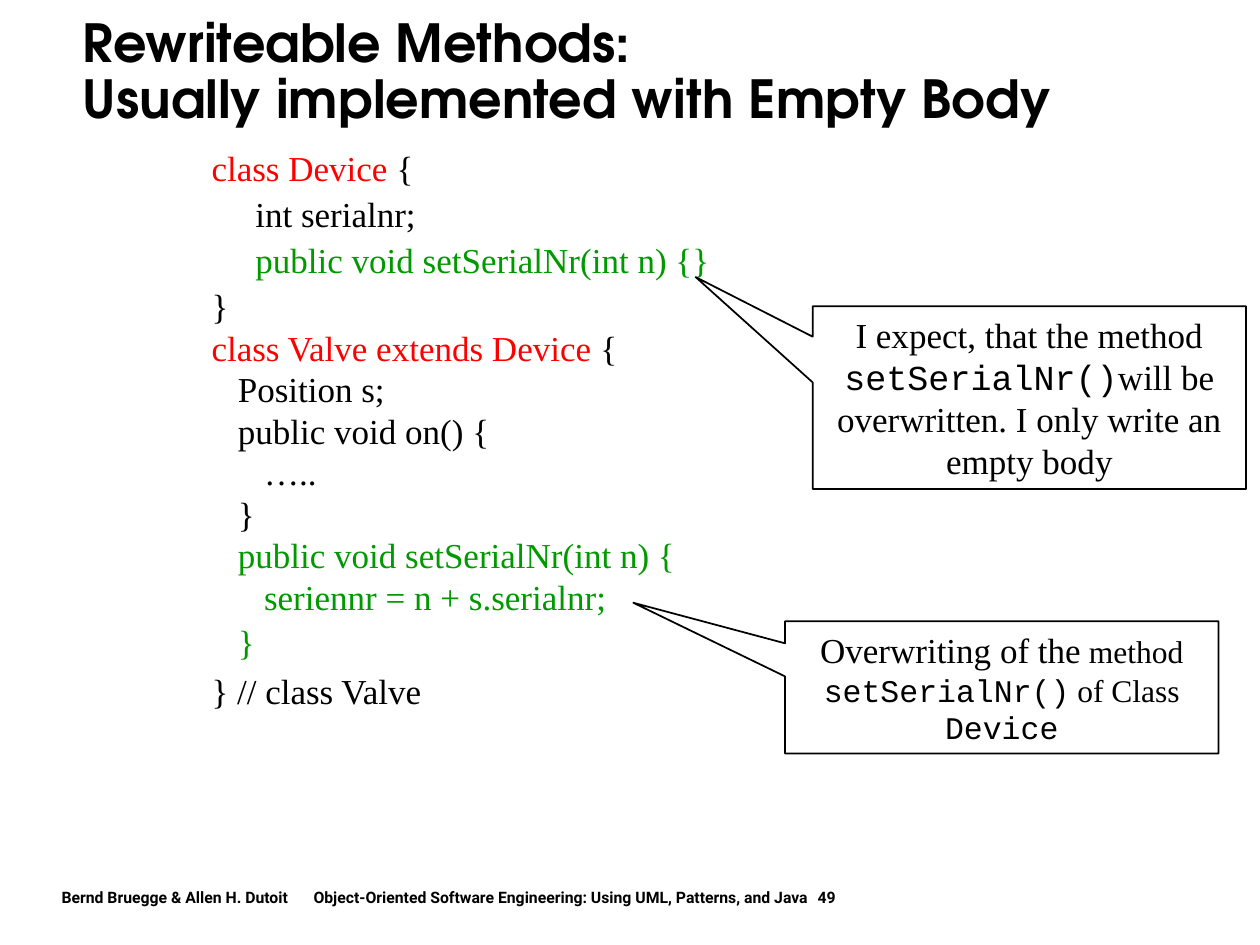
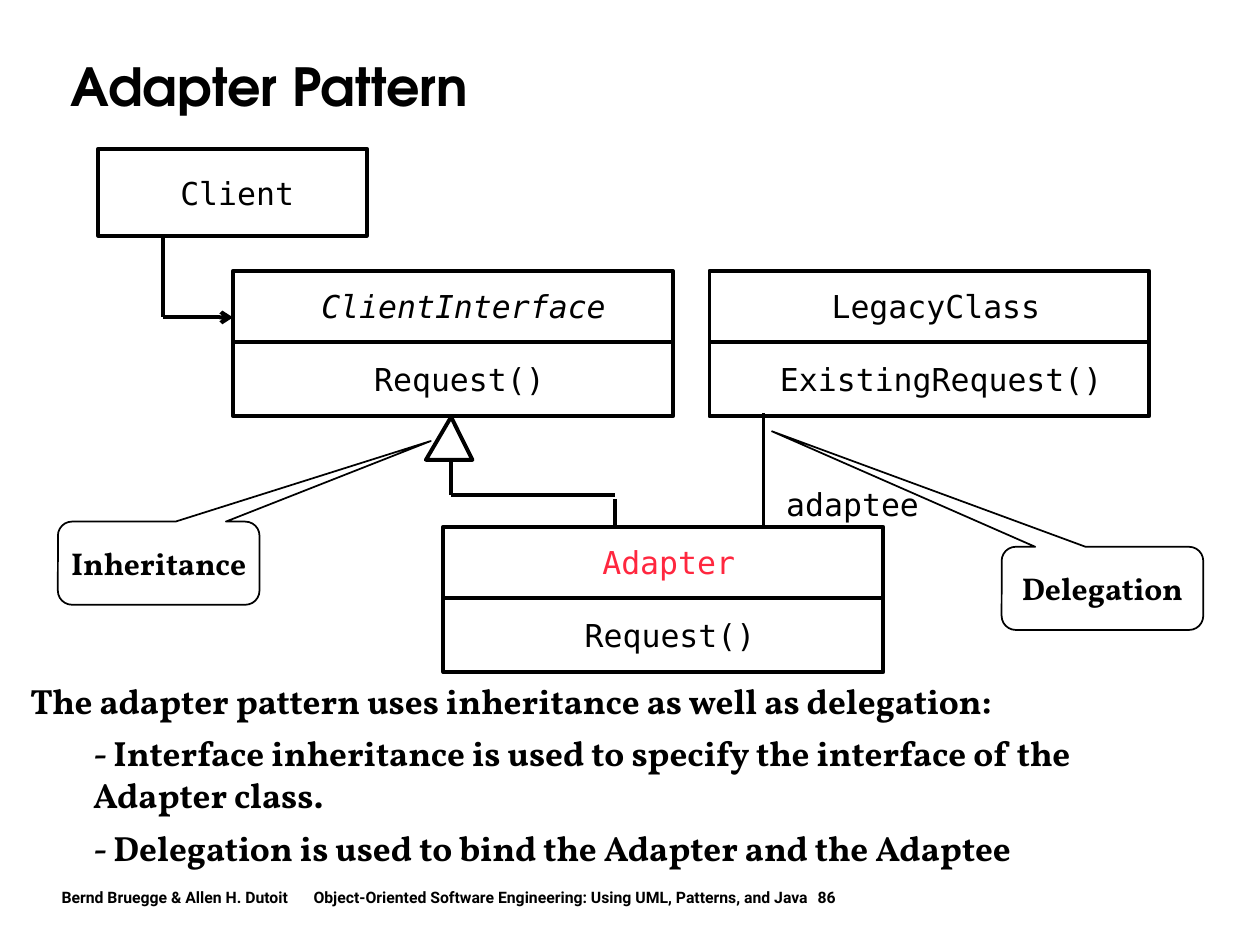
from dataclasses import dataclass

from lxml.etree import SubElement
from pptx import Presentation
from pptx.dml.color import RGBColor
from pptx.enum.shapes import MSO_CONNECTOR, MSO_SHAPE
from pptx.enum.text import MSO_ANCHOR, PP_ALIGN
from pptx.oxml.ns import qn
from pptx.util import Pt


@dataclass(frozen=True)
class Theme:
    black: str = "000000"
    white: str = "FFFFFF"
    class_red: str = "FF0000"
    method_green: str = "009900"
    adapter_red: str = "FF273F"
    title_font: str = "TeX Gyre Adventor"
    footer_font: str = "Roboto"
    serif: str = "Times New Roman"
    courier: str = "Courier New"
    mono: str = "DejaVu Sans Mono"
    bold_serif: str = "Vollkorn"
    title_size: float = 30
    body_size: float = 20
    label_size: float = 18
    footer_size: float = 9
    thin: float = 1
    thick: float = 2.25


theme = Theme()


def write(box, *spans, font=theme.serif, size=theme.body_size, color=theme.black,
          bold=False, italic=False, align=PP_ALIGN.LEFT, anchor=MSO_ANCHOR.TOP,
          wrap=True, inset=(7.2, 3.6), indent=0, spacing=None, before=0, after=0):
    """Add one paragraph; a span is a string or a (string, format changes) pair."""
    frame = box.text_frame
    frame.word_wrap = wrap
    frame.vertical_anchor = anchor
    frame.margin_left = frame.margin_right = Pt(inset[0])
    frame.margin_top = frame.margin_bottom = Pt(inset[1])
    para = frame.add_paragraph() if frame.text else frame.paragraphs[0]
    para.alignment = align
    para.space_before, para.space_after = Pt(before), Pt(after)
    if spacing:
        para.line_spacing = spacing
    properties = para._p.get_or_add_pPr()
    properties.set("marL", str(Pt(indent)))
    properties.set("indent", "0")
    for entry in spans:
        text, changes = (entry, {}) if isinstance(entry, str) else entry
        for number, line in enumerate(text.split("\n")):
            if number:
                para.add_line_break()
            span = para.add_run()
            span.text = line
            span.font.name = changes.get("font", font)
            span.font.size = Pt(changes.get("size", size))
            span.font.color.rgb = RGBColor.from_string(changes.get("color", color))
            span.font.bold, span.font.italic = bold, italic
    return para


def outline(shape, width=theme.thick, fill=None):
    """Draw a black line without shadow, and an optional solid fill."""
    shape.line.color.rgb = RGBColor.from_string(theme.black)
    shape.line.width = Pt(width)
    if hasattr(shape, "fill"):
        if fill:
            shape.fill.solid()
            shape.fill.fore_color.rgb = RGBColor.from_string(fill)
        else:
            shape.fill.background()
    SubElement(shape._element.spPr, qn("a:effectLst"))
    return shape


deck = Presentation()
deck.slide_width, deck.slide_height = Pt(720), Pt(540)

# Shared title and footer
pages = []
for title, place, number in [
    ("Rewriteable Methods:\nUsually implemented with Empty Body", (40.3, 12.2, 664.6, 59.8), 49),
    ("Adapter Pattern", (33.1, 17.3, 642.2, 67.7), 86),
]:
    page = deck.slides.add_slide(deck.slide_layouts[6])
    pages.append(page)
    footer = page.shapes.add_textbox(Pt(28.1), Pt(504), Pt(660.2), Pt(18))
    para = write(
        footer,
        "Bernd Bruegge & Allen H. Dutoit\tObject-Oriented Software Engineering: "
        f"Using UML, Patterns, and Java\t{number}",
        font=theme.footer_font, size=theme.footer_size, bold=True)
    tabs = SubElement(para._p.get_or_add_pPr(), qn("a:tabLst"))
    for stop in (209.3, 581.6):
        SubElement(tabs, qn("a:tab"), pos=str(Pt(stop)), algn="l")
    heading = page.shapes.add_textbox(*map(Pt, place))
    write(heading, title, font=theme.title_font, size=theme.title_size, bold=True,
          anchor=MSO_ANCHOR.MIDDLE, spacing=0.9)

methods_page, adapter_page = pages

# Rewriteable methods: code listing
red, green = {"color": theme.class_red}, {"color": theme.method_green}
code = methods_page.shapes.add_textbox(Pt(113.8), Pt(82.8), Pt(366.5), Pt(391.7))
for indent, spacing, spans in [
    (0, 0.9, [("class Device", red), " {"]),
    (25, 0.8, ["int serialnr;"]),
    (25, 0.8, [("public void setSerialNr(int n) {}", green)]),
    (0, 0.8, ["}"]),
    (0, 0.7, [("class Valve extends Device ", red), "{"]),
    (15, 0.7, ["Position s;"]),
    (15, 0.7, ["public void on() {"]),
    (30, 0.7, ["….."]),
    (15, 0.7, ["}"]),
    (15, 0.7, [("public void setSerialNr(int n) {", green)]),
    (30, 0.7, [("seriennr = n + s.serialnr;", green)]),
    (15, 0.8, [("}", green)]),
    (0, 0.9, ["} // class Valve"]),
]:
    write(code, *spans, indent=indent, spacing=spacing, before=6.9)

# Rewriteable methods: remarks
courier = {"font": theme.courier}
small, small_courier = {"size": theme.label_size}, {"font": theme.courier, "size": theme.label_size}
for place, pointer, spans in [
    ((464.4, 175, 247.7, 104.4), (-0.77, -0.66),
     ["I expect, that the method ", ("setSerialNr()", courier),
      "will be overwritten. I only write an empty body"]),
    ((448.6, 355, 247.7, 75.6), (-0.85, -0.64),
     ["Overwriting of the", (" method ", small), ("setSerialNr()", small_courier),
      (" of Class ", small), ("Device", small_courier)]),
]:
    remark = methods_page.shapes.add_shape(MSO_SHAPE.RECTANGULAR_CALLOUT, *map(Pt, place))
    remark.adjustments[0], remark.adjustments[1] = pointer
    outline(remark, theme.thin)
    write(remark, *spans, align=PP_ALIGN.CENTER, anchor=MSO_ANCHOR.MIDDLE)

# Adapter pattern: class boxes
name_height, method_height = 40.6, 42.5
compartments = [(56.2, 85, 153.4, 49.7)]
for left, top in [(133.2, 154.8), (405.4, 154.8), (253.4, 301)]:
    compartments += [(left, top, 251.3, name_height),
                     (left, top + name_height, 251.3, method_height)]
for place in compartments:
    outline(adapter_page.shapes.add_shape(MSO_SHAPE.RECTANGLE, *map(Pt, place)))

for text, left, top, changes in [
    ("Client", 103, 99.4, {}),
    ("ClientInterface", 183.6, 164.2, {"italic": True}),
    ("Request()", 213.8, 206, {}),
    ("LegacyClass", 475.2, 164.2, {}),
    ("ExistingRequest()", 445.7, 206, {}),
    ("Adapter", 344.2, 310.4, {"color": theme.adapter_red}),
    ("Request()", 334.1, 352, {}),
    ("adaptee", 449.3, 277.2, {}),
]:
    label = adapter_page.shapes.add_textbox(Pt(left), Pt(top), Pt(10.9 * len(text)), Pt(21.6))
    write(label, text, font=theme.mono, size=theme.label_size, wrap=False, inset=(0, 0), **changes)

# Adapter pattern: relations
for start_x, start_y, end_x, end_y, arrow in [
    (92.9, 134.7, 92.9, 181, False),
    (92.9, 181.4, 133.2, 181.4, True),
    (257.8, 283, 257.8, 262.8, False),
    (257.8, 283, 351.4, 283, False),
    (351.4, 285.1, 351.4, 301, False),
    (436.3, 236.2, 436.3, 301, False),
]:
    relation = outline(adapter_page.shapes.add_connector(
        MSO_CONNECTOR.STRAIGHT, Pt(start_x), Pt(start_y), Pt(end_x), Pt(end_y)))
    if arrow:
        SubElement(relation.line._get_or_add_ln(), qn("a:tailEnd"), type="arrow")

triangle = adapter_page.shapes.build_freeform(Pt(243.4), Pt(262.8))
triangle.add_line_segments([(Pt(257.8), Pt(238.3)), (Pt(270), Pt(262.8))], close=True)
outline(triangle.convert_to_shape())

# Adapter pattern: callouts
for text, left, top, pointer in [
    ("Delegation", 572.4, 312.5, (-1.64, -1.89, 0.17)),
    ("Inheritance", 33.1, 298.1, (1.35, -1.47, 0.17)),
]:
    callout = adapter_page.shapes.add_shape(
        MSO_SHAPE.ROUNDED_RECTANGULAR_CALLOUT, Pt(left), Pt(top), Pt(115.2), Pt(47.5))
    for index, value in enumerate(pointer):
        callout.adjustments[index] = value
    outline(callout, theme.thin, theme.white)
    write(callout, text, font=theme.bold_serif, size=theme.label_size, bold=True,
          align=PP_ALIGN.CENTER, anchor=MSO_ANCHOR.MIDDLE, wrap=False)

# Adapter pattern: summary
summary = adapter_page.shapes.add_textbox(Pt(10.1), Pt(384.5), Pt(676.1), Pt(116.6))
for text, indent in [
    ("The adapter pattern uses inheritance as well as delegation:", 0),
    ("- Interface inheritance is used to specify the interface of the Adapter class.", 36),
    ("- Delegation is used to bind the Adapter and the Adaptee", 36),
]:
    write(summary, text, font=theme.bold_serif, bold=True, indent=indent, after=6)

deck.save("out.pptx")
